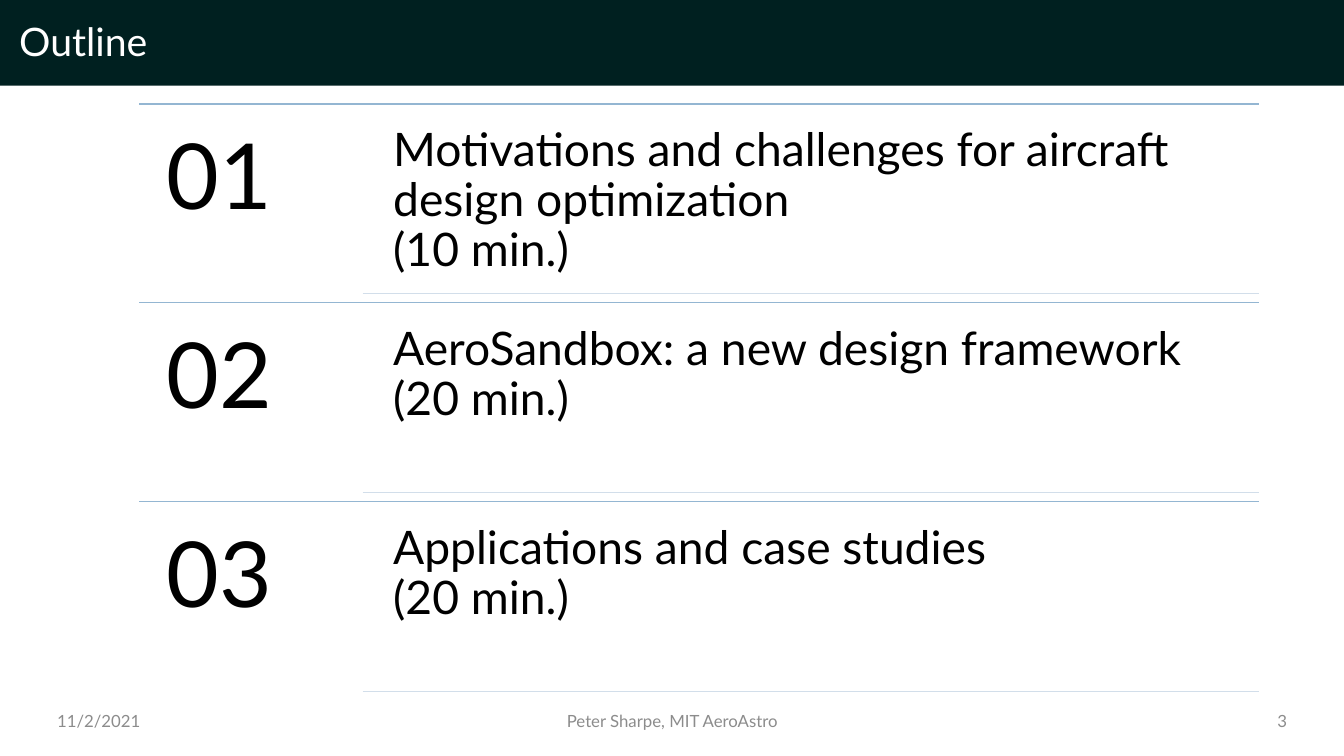
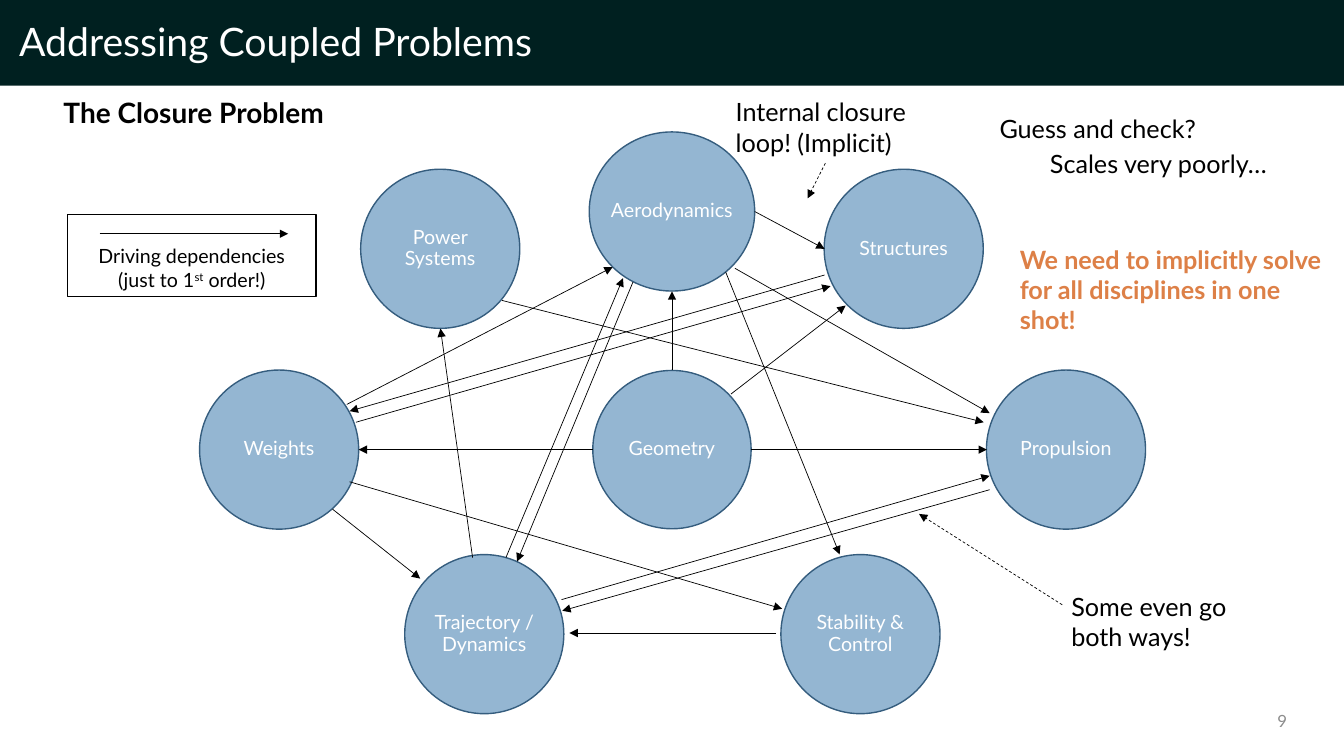
"""Build the outline and coupled-problems slides of an aircraft design talk."""
from dataclasses import dataclass
from typing import Any, Optional

import lxml.etree
import pptx
import pptx.dml.color
import pptx.enum.dml
import pptx.enum.shapes
import pptx.enum.text
import pptx.oxml.ns
import pptx.util

Cm = pptx.util.Cm
Pt = pptx.util.Pt
RGBColor = pptx.dml.color.RGBColor
PP_ALIGN = pptx.enum.text.PP_ALIGN
MSO_ANCHOR = pptx.enum.text.MSO_ANCHOR
MSO_SHAPE = pptx.enum.shapes.MSO_SHAPE
qn = pptx.oxml.ns.qn

DARK_GREEN = RGBColor(0x00, 0x20, 0x20)
WHITE = RGBColor(0xFF, 0xFF, 0xFF)
BLACK = RGBColor(0x00, 0x00, 0x00)
GRAY = RGBColor(0x8C, 0x8C, 0x8C)
BLUE = RGBColor(0x94, 0xB6, 0xD2)
PALE_BLUE = RGBColor(0xD2, 0xDE, 0xEA)
DEEP_BLUE = RGBColor(0x35, 0x5D, 0x7E)
ORANGE = RGBColor(0xDD, 0x80, 0x47)

FONT = "Lato"
WIDTH, HEIGHT = 33.87, 19.05
CENTER_X = WIDTH / 2
BAND_HEIGHT = 2.16
ROW_TOP, ROW_PITCH = 2.62, 5.01
ROW_LEFT, TOPIC_LEFT, ROW_RIGHT = 3.51, 9.14, 31.72


@dataclass(frozen=True)
class Style:
    """Text formatting of one paragraph."""

    size: float
    color: RGBColor = BLACK
    bold: bool = False
    align: PP_ALIGN = PP_ALIGN.LEFT
    spacing: Optional[float] = None


@dataclass(frozen=True)
class Note:
    """Text box with its place in centimetres."""

    text: str
    left: float
    top: float
    width: float
    height: float
    style: Style
    anchor: MSO_ANCHOR = MSO_ANCHOR.TOP
    inset: Optional[float] = None


@dataclass(frozen=True)
class Discipline:
    """Circle placed by its centre, x measured from the slide centre."""

    label: str
    dx: float
    y: float
    width: float = 4.01
    height: float = 4.01


@dataclass(frozen=True)
class Arrow:
    """Arrow from one point to another in centimetres."""

    x1: float
    y1: float
    x2: float
    y2: float
    dashed: bool = False


TITLE = Style(28, WHITE, spacing=0.9)
NUMBER = Style(65, spacing=0.9)
TOPIC = Style(33, spacing=0.9)
CIRCLE = Style(14, WHITE, align=PP_ALIGN.CENTER, spacing=0.9)
LEGEND = Style(14, align=PP_ALIGN.CENTER)
REMARK = Style(18)

TOPICS = [
    "Motivations and challenges for aircraft design optimization\v(10 min.)",
    "AeroSandbox: a new design framework\v(20 min.)",
    "Applications and case studies\v(20 min.)",
]

DISCIPLINES = [
    Discipline("Aerodynamics", 0, 5.33, width=4.17),
    Discipline("Structures", 5.84, 6.27),
    Discipline("Propulsion", 9.93, 11.33),
    Discipline("Stability & Control", 4.75, 15.98),
    Discipline("Trajectory / Dynamics", -4.73, 15.98),
    Discipline("Weights", -9.9, 11.33),
    Discipline("Power Systems", -5.84, 6.27),
    Discipline("Geometry", 0, 11.33, 3.99, 3.99),
]

ARROWS = [
    Arrow(19.02, 5.33, 20.78, 6.27),
    Arrow(15.95, 7.11, 13.03, 14.15),
    Arrow(24.94, 12.34, 14.17, 15.39),
    Arrow(19.56, 15.95, 14.35, 15.95),
    Arrow(18.29, 6.86, 21.16, 13.97),
    Arrow(8.81, 12.14, 19.71, 15.34),
    Arrow(12.65, 7.57, 24.79, 10.64),
    Arrow(CENTER_X, 9.32, CENTER_X, 7.34),
    Arrow(18.52, 6.76, 24.94, 10.41),
    Arrow(18.92, 11.33, 24.87, 11.33),
    Arrow(18.42, 9.93, 21.31, 7.7),
    Arrow(14.94, 11.33, 9.04, 11.33),
    Arrow(8.97, 10.64, 20.93, 7.21),
    Arrow(8.38, 12.83, 10.59, 14.58),
    Arrow(11.91, 14.05, 11.1, 8.28),
    Arrow(8.74, 10.19, 15.44, 6.73),
    Arrow(20.78, 6.93, 8.81, 10.36),
    Arrow(14.15, 15.11, 24.94, 11.99),
    Arrow(12.75, 14.05, 15.7, 7.01),
    Arrow(2.51, 5.89, 7.26, 5.89),
    Arrow(20.8, 4.11, 20.35, 5, dashed=True),
    Arrow(26.77, 15.24, 23.16, 12.95, dashed=True),
]

NOTES = [
    Note("Guess and check?", 24.94, 2.74, 8.36, 1.03, REMARK),
    Note("Scales very poorly…", 26.21, 3.61, 7.09, 1.03, REMARK),
    Note("We need to implicitly solve for all disciplines in one shot!",
         25.45, 6.02, 8.36, 2.56, Style(18, ORANGE, bold=True)),
    Note("Internal closure loop! (Implicit)", 18.29, 2.31, 5.05, 1.8, REMARK),
    Note("The Closure Problem", 1.35, 2.29, 12.12, 1.11, Style(20, bold=True)),
    Note("Some even go both ways!", 26.75, 14.78, 4.65, 1.8, REMARK),
]


def format_paragraph(p: Any, style: Style) -> None:
    """Apply a style to a paragraph."""
    p.alignment = style.align
    if style.spacing:
        p.line_spacing = style.spacing
    p.font.name = FONT
    p.font.size = Pt(style.size)
    p.font.bold = style.bold
    p.font.color.rgb = style.color


def set_insets(tf: Any, inset: float) -> None:
    """Give a text frame the same inset on all sides."""
    tf.margin_left = tf.margin_right = Cm(inset)
    tf.margin_top = tf.margin_bottom = Cm(inset)


def add_note(s: Any, note: Note) -> None:
    """Add a wrapped text box."""
    box = s.shapes.add_textbox(Cm(note.left), Cm(note.top), Cm(note.width), Cm(note.height))
    tf = box.text_frame
    tf.word_wrap = True
    tf.vertical_anchor = note.anchor
    if note.inset is not None:
        set_insets(tf, note.inset)
    p = tf.paragraphs[0]
    p.text = note.text
    format_paragraph(p, note.style)


def add_line(s: Any, x1: float, y1: float, x2: float, y2: float,
             color: RGBColor, width: float) -> Any:
    """Add a straight line without shadow."""
    line = s.shapes.add_connector(
        pptx.enum.shapes.MSO_CONNECTOR.STRAIGHT, Cm(x1), Cm(y1), Cm(x2), Cm(y2))
    line.line.color.rgb = color
    line.line.width = Pt(width)
    lxml.etree.SubElement(line.element.spPr, qn("a:effectLst"))
    return line


def add_arrow(s: Any, arrow: Arrow) -> None:
    """Add a thin black arrow, dashed if asked."""
    line = add_line(s, arrow.x1, arrow.y1, arrow.x2, arrow.y2, BLACK, 0.5)
    if arrow.dashed:
        line.line.dash_style = pptx.enum.dml.MSO_LINE.DASH
    ln = line.element.spPr.find(qn("a:ln"))
    lxml.etree.SubElement(ln, qn("a:tailEnd"), type="triangle")


def add_circle(s: Any, item: Discipline) -> None:
    """Add a labelled discipline circle."""
    circle = s.shapes.add_shape(
        MSO_SHAPE.OVAL, Cm(CENTER_X + item.dx - item.width / 2),
        Cm(item.y - item.height / 2), Cm(item.width), Cm(item.height))
    circle.shadow.inherit = False
    circle.fill.solid()
    circle.fill.fore_color.rgb = BLUE
    circle.line.color.rgb = DEEP_BLUE
    circle.line.width = Pt(1)
    tf = circle.text_frame
    tf.word_wrap = " " in item.label
    tf.vertical_anchor = MSO_ANCHOR.MIDDLE
    set_insets(tf, 0)
    p = tf.paragraphs[0]
    p.text = item.label
    format_paragraph(p, CIRCLE)


def add_legend(s: Any) -> None:
    """Add the box that explains the arrows."""
    box = s.shapes.add_shape(MSO_SHAPE.RECTANGLE, Cm(1.7), Cm(5.41), Cm(6.27), Cm(2.06))
    box.shadow.inherit = False
    box.fill.background()
    box.line.color.rgb = BLACK
    box.line.width = Pt(1)
    tf = box.text_frame
    tf.word_wrap = True
    tf.vertical_anchor = MSO_ANCHOR.BOTTOM
    p = tf.paragraphs[0]
    p.text = "Driving dependencies\v(just to 1"
    r = p.add_run()
    r.text = "st"
    r.font._element.set("baseline", "30000")
    p.add_run().text = " order!)"
    format_paragraph(p, LEGEND)


def add_band(s: Any) -> None:
    """Put the dark title band on the layout of a slide."""
    band = s.shapes.add_shape(MSO_SHAPE.RECTANGLE, 0, 0, Cm(WIDTH), Cm(BAND_HEIGHT))
    band.shadow.inherit = False
    band.fill.solid()
    band.fill.fore_color.rgb = DARK_GREEN
    band.line.fill.background()
    s.slide_layout.shapes.element.insert(2, band.element)


def add_footer(s: Any, text: str, left: float, width: float, align: PP_ALIGN) -> None:
    """Add one gray footer text."""
    style = Style(12, GRAY, align=align)
    add_note(s, Note(text, left, 17.65, width, 1.02, style, MSO_ANCHOR.MIDDLE))


def add_slide(prs: Any, title: str, number: int) -> Any:
    """Add a slide with its title and slide number."""
    s = prs.slides.add_slide(prs.slide_layouts[5])
    sp = s.shapes.title
    sp.left, sp.top, sp.width, sp.height = Cm(0.23), Cm(0.41), Cm(31.5), Cm(1.37)
    tf = sp.text_frame
    tf.auto_size = pptx.enum.text.MSO_AUTO_SIZE.NONE
    tf.vertical_anchor = MSO_ANCHOR.MIDDLE
    p = tf.paragraphs[0]
    p.text = title
    format_paragraph(p, TITLE)
    add_footer(s, str(number), 29.36, 3.33, PP_ALIGN.RIGHT)
    return s


def build_outline(prs: Any) -> None:
    """Build the numbered outline."""
    s = add_slide(prs, "Outline", 3)
    add_band(s)
    add_footer(s, "11/2/2021", 1.19, 3.33, PP_ALIGN.LEFT)
    add_footer(s, "Peter Sharpe, MIT AeroAstro", 4.88, 24.13, PP_ALIGN.CENTER)
    for i, topic in enumerate(TOPICS):
        top = ROW_TOP + i * ROW_PITCH
        add_line(s, ROW_LEFT, top, ROW_RIGHT, top, BLUE, 1)
        add_note(s, Note(f"{i + 1:02}", ROW_LEFT, top, 5.64, 5, NUMBER, inset=0.69))
        add_note(s, Note(topic, 9.55, top + 0.22, 22.15, 4.55, TOPIC, inset=0.36))
        add_line(s, TOPIC_LEFT, top + 4.78, ROW_RIGHT, top + 4.78, PALE_BLUE, 1)


def build_closure(prs: Any) -> None:
    """Build the diagram of coupled disciplines."""
    s = add_slide(prs, "Addressing Coupled Problems", 9)
    for item in DISCIPLINES:
        add_circle(s, item)
    add_legend(s)
    for arrow in ARROWS:
        add_arrow(s, arrow)
    for note in NOTES:
        add_note(s, note)


def main() -> None:
    """Build and save the presentation."""
    prs = pptx.Presentation()
    prs.slide_width, prs.slide_height = Cm(WIDTH), Cm(HEIGHT)
    build_outline(prs)
    build_closure(prs)
    prs.save("out.pptx")


if __name__ == "__main__":
    main()
